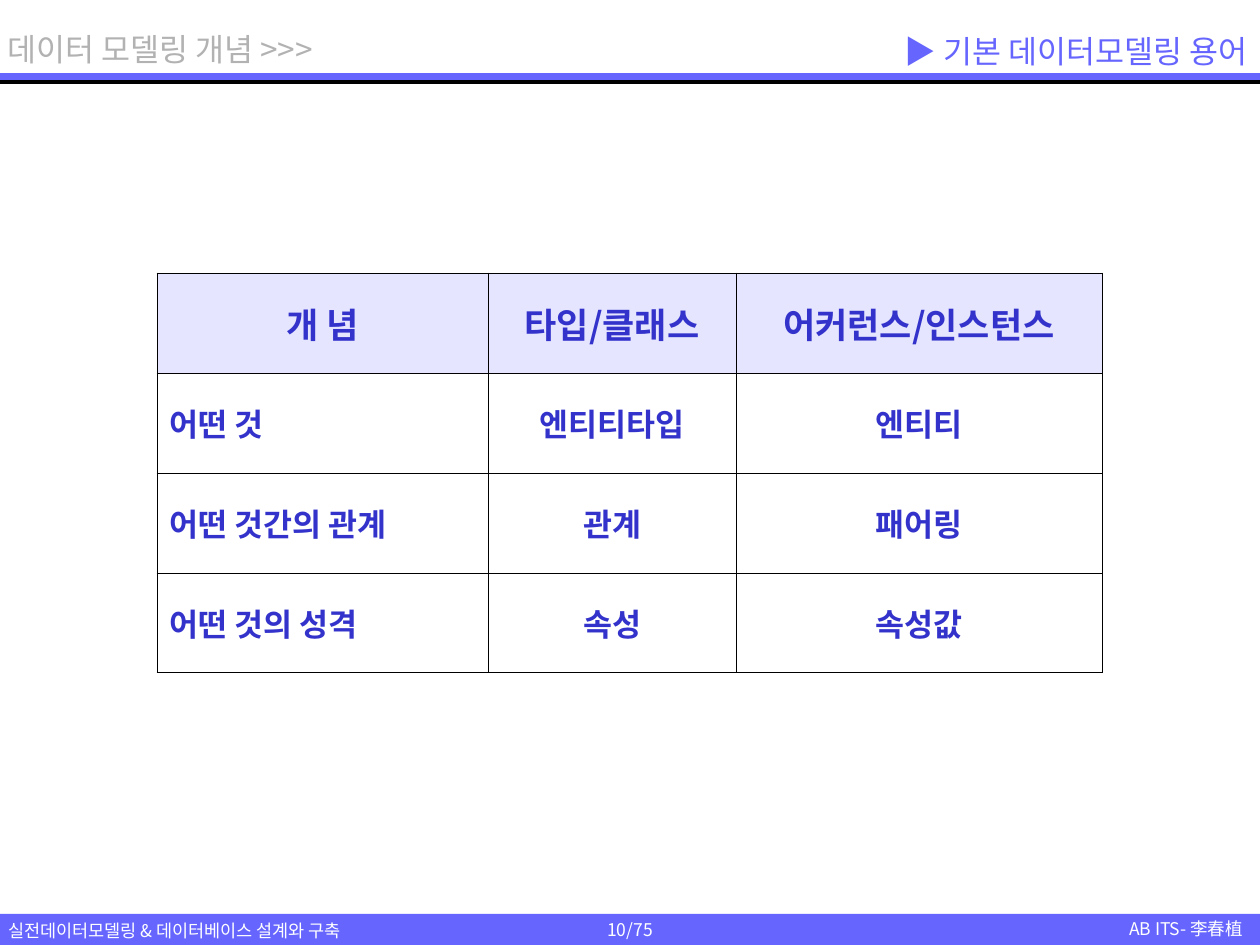
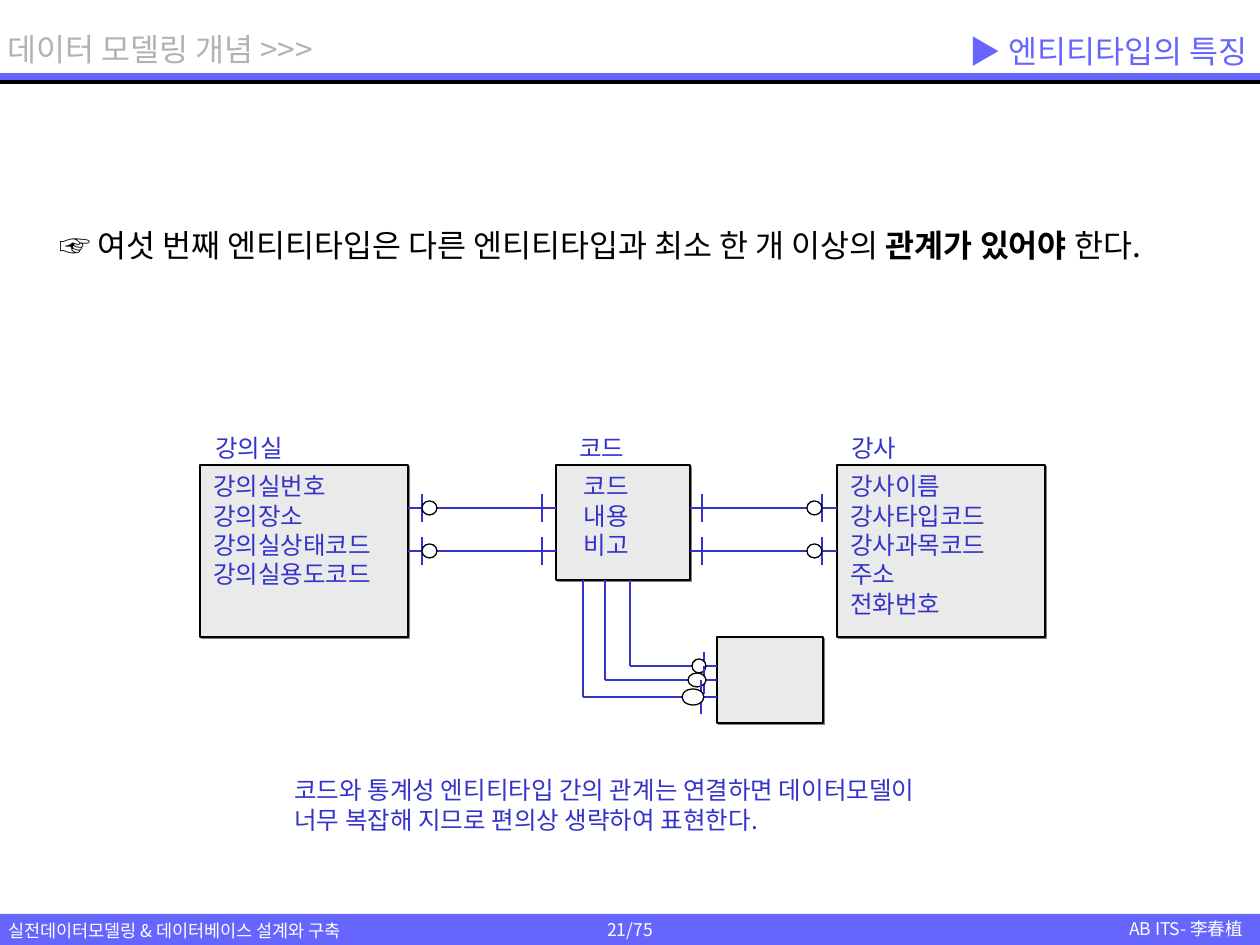
from lxml import etree
from pptx import Presentation
from pptx.dml.color import RGBColor
from pptx.enum.shapes import MSO_CONNECTOR, MSO_SHAPE
from pptx.enum.text import MSO_ANCHOR, MSO_AUTO_SIZE, PP_ALIGN
from pptx.oxml.ns import qn
from pptx.util import Pt

PX = 7257
FONT = "Noto Sans CJK KR"
BAND, INK, GRAY = "6666FF", "3333CC", "B2B2B2"
BLACK, WHITE, PANEL, HEAD = "000000", "FFFFFF", "EAEAEA", "E5E5FF"
LEFT, CENTER, RIGHT = PP_ALIGN.LEFT, PP_ALIGN.CENTER, PP_ALIGN.RIGHT
TOP, MIDDLE = MSO_ANCHOR.TOP, MSO_ANCHOR.MIDDLE
RECT, OVAL, LINE = MSO_SHAPE.RECTANGLE, MSO_SHAPE.OVAL, MSO_CONNECTOR.STRAIGHT
rgb = RGBColor.from_string


def draw(s, kind, x, y, w, h, edge=None, pt=0.75, fill=None):
    if kind is LINE:
        sp = s.shapes.add_connector(LINE, x * PX, y * PX, (x + w) * PX, (y + h) * PX)
    else:
        sp = s.shapes.add_shape(kind, x * PX, y * PX, w * PX, h * PX)
        sp.fill.solid()
        sp.fill.fore_color.rgb = rgb(fill)
    if edge:
        sp.line.color.rgb = rgb(edge)
        sp.line.width = Pt(pt)
    else:
        sp.line.fill.background()
    etree.SubElement(sp._element.spPr, qn("a:effectLst"))
    return sp


def write(tf, lines, size, color, align=LEFT, bold=False):
    tf.word_wrap = True
    for i, line in enumerate(lines):
        p = tf.paragraphs[0] if i == 0 else tf.add_paragraph()
        p.alignment = align
        p.font.size = Pt(size)
        p.font.bold = bold
        p.font.name = FONT
        p.font.color.rgb = rgb(color)
        etree.SubElement(p._p.pPr.find(qn("a:defRPr")), qn("a:ea"), typeface=FONT)
        p.add_run().text = line


prs = Presentation()
prs.slide_width, prs.slide_height = 1260 * PX, 945 * PX

slides = []
for title, page in (("▶ 기본 데이터모델링 용어", "10/75"), ("▶ 엔티티타입의 특징", "21/75")):
    s = prs.slides.add_slide(prs.slide_layouts[5])
    slides.append(s)
    footer = draw(s, RECT, 0, 914, 1260, 31, fill=BAND)
    write(footer.text_frame, [page], 10, WHITE, CENTER)
    draw(s, RECT, 0, 73, 1260, 8, fill=BAND)
    for y in (81, 82, 83):
        draw(s, LINE, 0, y, 1260, 0, BLACK)
    for text, box, size, color, align in (
        ("실전데이터모델링 & 데이터베이스 설계와 구축", (-4, 914, 394, 34), 10, WHITE, LEFT),
        ("AB ITS- 李春植", (1087, 912, 168, 34), 10, WHITE, RIGHT),
        ("데이터 모델링 개념 >>>", (-5, 24, 353, 50), 18, GRAY, LEFT),
    ):
        sp = s.shapes.add_textbox(*(v * PX for v in box))
        write(sp.text_frame, [text], size, color, align)
    sp = s.shapes.title
    sp.left, sp.top, sp.width, sp.height = 630 * PX, 24 * PX, 630 * PX, 54 * PX
    tf = sp.text_frame
    tf.auto_size = MSO_AUTO_SIZE.NONE
    tf.vertical_anchor = MIDDLE
    write(tf, [title], 18, BAND, RIGHT)

terms_slide, entity_slide = slides

rows = [
    ("개 념", "타입/클래스", "어커런스/인스턴스"),
    ("어떤 것", "엔티티타입", "엔티티"),
    ("어떤 것간의 관계", "관계", "패어링"),
    ("어떤 것의 성격", "속성", "속성값"),
]
widths = (331, 248, 366)
frame = terms_slide.shapes.add_table(4, 3, 157 * PX, 273 * PX, sum(widths) * PX, 400 * PX)
table = frame.table
for col, width in zip(table.columns, widths):
    col.width = width * PX
for i, row in enumerate(rows):
    table.rows[i].height = 100 * PX
    for j, text in enumerate(row):
        cell = table.cell(i, j)
        cell.vertical_anchor = MIDDLE
        for side in ("lnL", "lnR", "lnT", "lnB"):
            ln = etree.SubElement(cell._tc.get_or_add_tcPr(), qn("a:" + side), w="5715")
            fill = etree.SubElement(ln, qn("a:solidFill"))
            etree.SubElement(fill, qn("a:srgbClr"), val=BLACK)
        cell.fill.solid()
        cell.fill.fore_color.rgb = rgb(WHITE if i else HEAD)
        align = LEFT if i and j == 0 else CENTER
        write(cell.text_frame, [text], 18 if i else 20, INK, align, True)

s = entity_slide
sp = s.shapes.add_textbox(47 * PX, 220 * PX, 1166 * PX, 88 * PX)
write(sp.text_frame, ["☞ 여섯 번째 엔티티타입은 다른 엔티티타입과 최소 한 개 이상의 "], 18, BLACK)
p = sp.text_frame.paragraphs[0]
r = p.add_run()
r.text = "관계가 있어야 "
r.font.bold = True
p.add_run().text = "한다."

sp = s.shapes.add_textbox(282 * PX, 769 * PX, 698 * PX, 72 * PX)
write(sp.text_frame, ["코드와 통계성 엔티티타입 간의 관계는 연결하면 데이터모델이",
                      "너무 복잡해 지므로 편의상 생략하여 표현한다."], 14, INK)

entities = []
for name, name_x, box, inset, fields in (
    ("강의실", 203, (200, 465, 208, 172), 13,
     ["강의실번호", "강의장소", "강의실상태코드", "강의실용도코드"]),
    ("코드", 567, (556, 465, 134, 115), 28, ["코드", "내용", "비고"]),
    ("강사", 839, (837, 465, 208, 172), 13,
     ["강사이름", "강사타입코드", "강사과목코드", "주소", "전화번호"]),
    ("", 0, (717, 637, 106, 86), 13, []),
):
    sp = draw(s, RECT, *box, BLACK, fill=PANEL)
    effects = sp._element.spPr.find(qn("a:effectLst"))
    shadow = etree.SubElement(effects, qn("a:outerShdw"), dist="17780", dir="2700000")
    etree.SubElement(shadow, qn("a:srgbClr"), val="808080")
    entities.append(sp)
    tf = sp.text_frame
    tf.vertical_anchor = TOP
    tf.margin_left = inset * PX
    write(tf, fields, 14, INK)
    if name:
        label = s.shapes.add_textbox(name_x * PX, 427 * PX, 93 * PX, 43 * PX)
        write(label.text_frame, [name], 14, INK)

room, code, teacher, summary = entities

for entity, side, start, thin, thick, end, circle in (
    (room, 3, 408, 422, 542, 556, 422),
    (teacher, 1, 837, 822, 702, 690, 807),
):
    for y in (508, 551):
        link = draw(s, LINE, start, y, end - start, 0, INK, 1.5)
        if y == 551:
            link.begin_connect(entity, side)
        draw(s, LINE, thick, y - 14, 0, 28, INK, 1.5)
        draw(s, LINE, thin, y - 14, 0, 28, INK)
        draw(s, OVAL, circle, y - 7, 15, 14, BLACK, fill=WHITE)

for x, y, tick, half, circle, w, h in (
    (630, 666, 704, 14, 692, 14, 14),
    (605, 680, 704, 14, 688, 18, 14),
    (583, 697, 701, 17, 682, 22, 16),
):
    draw(s, LINE, x, 580, 0, y - 580, INK)
    link = draw(s, LINE, x, y, 717 - x, 0, INK, 1.5)
    if y == 680:
        link.end_connect(summary, 1)
    draw(s, LINE, tick, y - half, 0, 2 * half, INK)
    draw(s, OVAL, circle, y - h // 2, w, h, BLACK, fill=WHITE)

prs.save("out.pptx")
